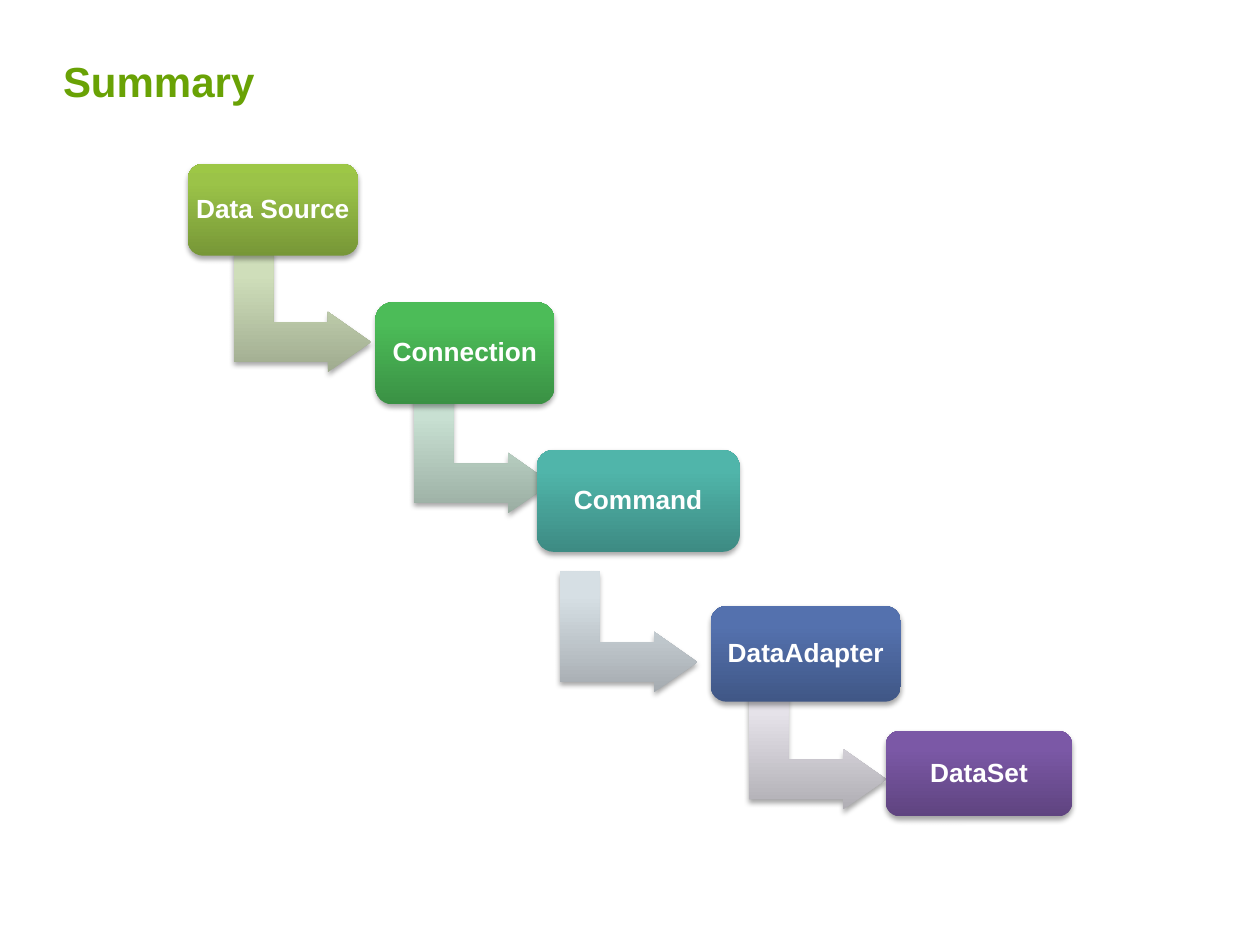
"""Draw a staircase of data access steps joined by bent arrows."""
from dataclasses import dataclass
from typing import NamedTuple, Optional

from pptx import Presentation
from pptx.dml.color import RGBColor as Color
from pptx.enum.shapes import MSO_SHAPE as Kind
from pptx.enum.text import MSO_ANCHOR as Anchor, MSO_AUTO_SIZE as Fit, PP_ALIGN as Align
from pptx.oxml import parse_xml
from pptx.oxml.ns import nsdecls
from pptx.util import Inches, Pt

COLS, ROWS = 100, 75
WIDE, HIGH = Inches(10), Inches(7.5)


@dataclass(frozen=True)
class Theme:
    font: str = "Arial"
    head: str = "69A205"
    label: str = "FFFFFF"
    shade: str = "000000"
    head_size: int = 24
    label_size: int = 15


class Area(NamedTuple):
    col: float
    row: float
    cols: float
    rows: float


class Blend(NamedTuple):
    low: str
    mid: str
    top: str


@dataclass(frozen=True)
class Arrow:
    col: float
    row: float
    blend: Blend


@dataclass(frozen=True)
class Step:
    name: str
    area: Area
    blend: Blend
    arrow: Optional[Arrow] = None


THEME = Theme()
ARROW_COLS, ARROW_ROWS = 9.6, 10.9
ARROW_FORM = (0.328, 0.25, 0.358)
STOPS = (0, 80, 100)
STEPS = (
    Step("Data Source", Area(14.9, 13, 13.5, 7.3), Blend("779737", "9BC348", "9DC746"),
         Arrow(19.2, 19.3, Blend("9FAB8F", "CFDEBA", "D0DFBA"))),
    Step("Connection", Area(29.8, 24, 14.2, 8.1), Blend("3A9144", "4CBC58", "4ABF57"),
         Arrow(33.5, 30.5, Blend("9AADA2", "C8E0D2", "C9E2D3"))),
    Step("Command", Area(42.6, 35.7, 16.1, 8.1), Blend("3D8B83", "50B5AA", "4EB8AC"),
         Arrow(45.1, 44.7, Blend("A5ABB0", "D6DFE4", "D7E0E6"))),
    Step("DataAdapter", Area(56.4, 48.1, 15.1, 7.6), Blend("405786", "5471AE", "5271B0"),
         Arrow(60.1, 54, Blend("B0AEB4", "E5E2E9", "E6E3EB"))),
    Step("DataSet", Area(70.3, 58, 14.8, 6.8), Blend("5F4480", "7B58A6", "7C57A8")),
)


def frame(area: Area) -> tuple[int, int, int, int]:
    """Turn a grid area into slide lengths."""
    across, down = WIDE / COLS, HIGH / ROWS
    return (round(area.col * across), round(area.row * down),
            round(area.cols * across), round(area.rows * down))


def add_run(para, text: str, size: int, color: str) -> None:
    """Add one bold run in the theme font."""
    run = para.add_run()
    run.text = text
    run.font.name = THEME.font
    run.font.size = Pt(size)
    run.font.bold = True
    run.font.color.rgb = Color.from_string(color)


def add_form(slide, kind: Kind, area: Area, blend: Blend):
    """Add a shape with an upright blend and a soft shadow."""
    shape = slide.shapes.add_shape(kind, *frame(area))
    shape.line.fill.background()
    shape.shadow.inherit = False
    stops = "".join(f'<a:gs pos="{spot * 1000}"><a:srgbClr val="{color}"/></a:gs>'
                    for spot, color in zip(STOPS, blend))
    props = shape._element.spPr
    props.insert(2, parse_xml(
        f'<a:gradFill {nsdecls("a")} rotWithShape="0"><a:gsLst>{stops}</a:gsLst>'
        '<a:lin ang="16200000" scaled="0"/></a:gradFill>'))
    props[-1].append(parse_xml(
        f'<a:outerShdw {nsdecls("a")} blurRad="{Pt(3.1)}" dist="{Pt(1.8)}" dir="5400000" '
        f'rotWithShape="0"><a:srgbClr val="{THEME.shade}"><a:alpha val="35000"/>'
        '</a:srgbClr></a:outerShdw>'))
    return shape


def add_arrow(slide, arrow: Arrow) -> None:
    """Add a bent arrow that leads down and right."""
    area = Area(arrow.col, arrow.row, ARROW_COLS, ARROW_ROWS)
    shape = add_form(slide, Kind.BENT_UP_ARROW, area, arrow.blend)
    shape.rotation = 90
    for index, value in enumerate(ARROW_FORM):
        shape.adjustments[index] = value


def add_step(slide, step: Step) -> None:
    """Add a labelled box above its outgoing arrow."""
    if step.arrow:
        add_arrow(slide, step.arrow)
    box = add_form(slide, Kind.ROUNDED_RECTANGLE, step.area, step.blend)
    text = box.text_frame
    text.word_wrap = True
    text.vertical_anchor = Anchor.MIDDLE
    text.margin_left = text.margin_right = Inches(0.02)
    text.margin_top = text.margin_bottom = Inches(0.02)
    para = text.paragraphs[0]
    para.alignment = Align.CENTER
    para.line_spacing = 0.9
    add_run(para, step.name, THEME.label_size, THEME.label)


def add_title(slide, words: str) -> None:
    """Place and fill the title holder."""
    title = slide.shapes.title
    title.left, title.top, title.width, title.height = frame(Area(5, 0.2, 90, 8.7))
    text = title.text_frame
    text.auto_size = Fit.NONE
    text.vertical_anchor = Anchor.BOTTOM
    text.margin_left = text.margin_right = text.margin_top = 0
    text.margin_bottom = Inches(0.05)
    para = text.paragraphs[0]
    para.alignment = Align.LEFT
    add_run(para, words, THEME.head_size, THEME.head)


def main() -> None:
    """Build and save the slide."""
    deck = Presentation()
    deck.slide_width, deck.slide_height = WIDE, HIGH
    slide = deck.slides.add_slide(deck.slide_layouts[5])
    add_title(slide, "Summary")
    for step in STEPS:
        add_step(slide, step)
    deck.save("out.pptx")


if __name__ == "__main__":
    main()
